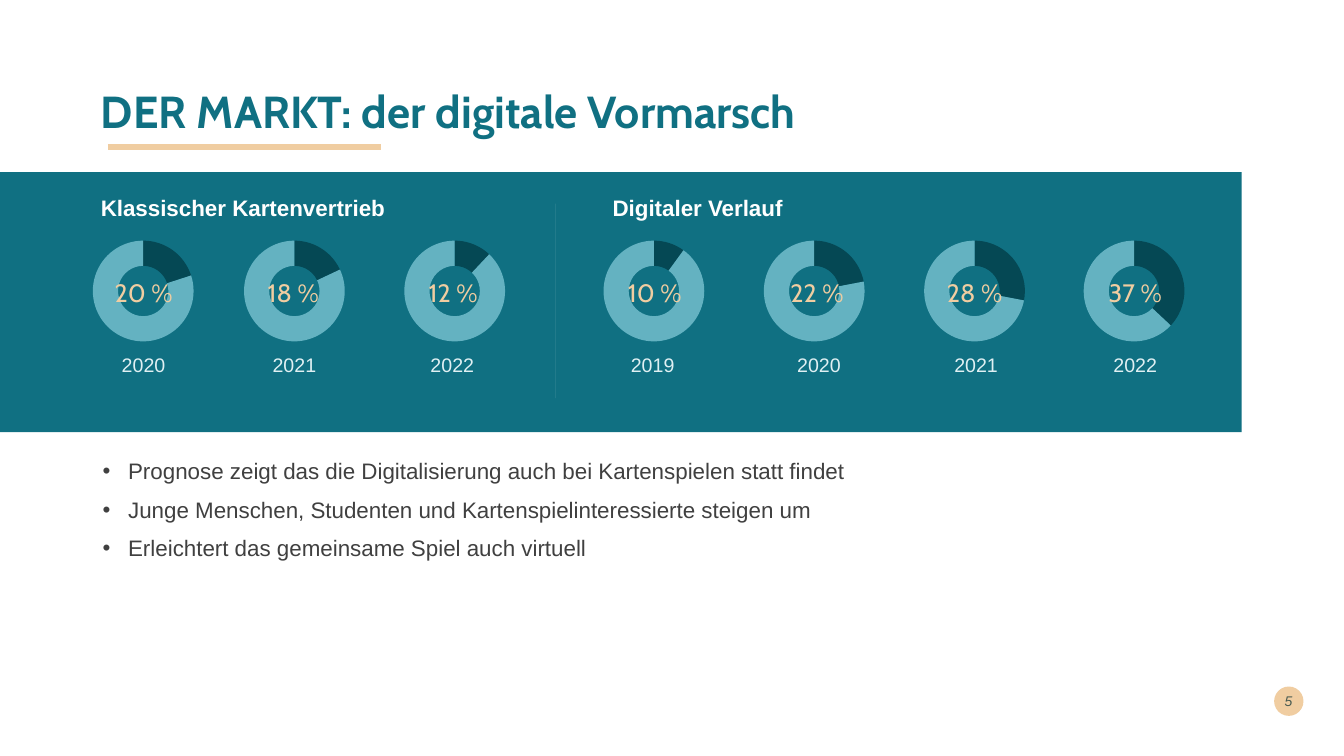
from dataclasses import dataclass

from lxml.etree import SubElement
from pptx import Presentation
from pptx.chart.data import CategoryChartData
from pptx.dml.color import RGBColor
from pptx.enum.chart import XL_CHART_TYPE as ChartType
from pptx.enum.shapes import MSO_CONNECTOR as Connector
from pptx.enum.shapes import MSO_SHAPE as Preset
from pptx.enum.text import MSO_ANCHOR as Anchor
from pptx.enum.text import MSO_AUTO_SIZE as AutoSize
from pptx.enum.text import PP_ALIGN as Align
from pptx.oxml.ns import qn
from pptx.util import Cm, Pt


@dataclass(frozen=True)
class Theme:
    teal: str = "107082"
    dark_teal: str = "054854"
    light_teal: str = "64B2C1"
    pale: str = "E0F0F3"
    sand: str = "F0CDA1"
    white: str = "FFFFFF"
    ink: str = "404040"
    number_ink: str = "00292E"
    black: str = "000000"
    body_font: str = "Arial"
    display_font: str = "Cabin"
    title_size: float = 32
    percent_size: float = 18
    text_size: float = 16
    year_size: float = 14
    small_size: float = 10


@dataclass(frozen=True)
class TextStyle:
    size: float
    color: str
    font: str = "Arial"
    bold: bool = False
    italic: bool = False


@dataclass(frozen=True)
class Box:
    """Left, top, width and height in centimetres."""
    left: float
    top: float
    width: float
    height: float

    def emu(self) -> tuple:
        return Cm(self.left), Cm(self.top), Cm(self.width), Cm(self.height)


@dataclass(frozen=True)
class Share:
    """One ring with its year; the three centres are in centimetres."""
    year: str
    percent: int
    ring_x: float
    percent_x: float
    year_x: float


THEME = Theme()
TITLE_STYLE = TextStyle(THEME.title_size, THEME.teal, THEME.display_font, bold=True)
HEADING_STYLE = TextStyle(THEME.text_size, THEME.white, bold=True)
PERCENT_STYLE = TextStyle(THEME.percent_size, THEME.sand, THEME.display_font)
YEAR_STYLE = TextStyle(THEME.year_size, THEME.pale)
BULLET_STYLE = TextStyle(THEME.text_size, THEME.ink)
NUMBER_STYLE = TextStyle(THEME.small_size, THEME.number_ink, italic=True)

SHARES = [
    Share("2020", 20, 3.61, 3.62, 3.62),
    Share("2021", 18, 7.42, 7.39, 7.42),
    Share("2022", 12, 11.46, 11.42, 11.4),
    Share("2019", 10, 16.48, 16.5, 16.45),
    Share("2020", 22, 20.52, 20.59, 20.64),
    Share("2021", 28, 24.56, 24.56, 24.6),
    Share("2022", 37, 28.58, 28.61, 28.61),
]
HEADINGS = {
    "Klassischer Kartenvertrieb": Box(2.29, 4.85, 10.52, 0.97),
    "Digitaler Verlauf": Box(15.19, 4.85, 14.53, 0.97),
}
BULLETS = [
    "Prognose zeigt das die Digitalisierung auch bei Kartenspielen statt findet",
    "Junge Menschen, Studenten und Kartenspielinteressierte steigen um",
    "Erleichtert das gemeinsame Spiel auch virtuell",
]
CHART_WIDTH, CHART_HEIGHT, RING_DIAMETER = 3.66, 3.23, 2.54
LABEL_WIDTH = 2.6


def rgb(color: str) -> RGBColor:
    return RGBColor.from_string(color)


def set_opacity(shape, percent: int) -> None:
    for color in list(shape.element.iter(qn("a:srgbClr"))):
        SubElement(color, qn("a:alpha"), val=str(percent * 1000))


def add_run(paragraph, text: str, style: TextStyle) -> None:
    run = paragraph.add_run()
    run.text = text
    font = run.font
    font.name, font.size = style.font, Pt(style.size)
    font.bold, font.italic = style.bold, style.italic
    font.color.rgb = rgb(style.color)


def add_text(slide, box: Box, text: str, style: TextStyle, align=Align.LEFT):
    text_box = slide.shapes.add_textbox(*box.emu())
    text_box.text_frame.word_wrap = True
    paragraph = text_box.text_frame.paragraphs[0]
    paragraph.alignment = align
    add_run(paragraph, text, style)
    return text_box


def add_solid(slide, preset: Preset, box: Box, color: str) -> None:
    solid = slide.shapes.add_shape(preset, *box.emu())
    solid.shadow.inherit = False
    solid.fill.solid()
    solid.fill.fore_color.rgb = rgb(color)
    solid.line.fill.background()


def add_line(slide, x1: float, y1: float, x2: float, y2: float, color: str, width: float):
    line = slide.shapes.add_connector(Connector.STRAIGHT, Cm(x1), Cm(y1), Cm(x2), Cm(y2))
    line.line.color.rgb = rgb(color)
    line.line.width = Pt(width)
    SubElement(line.element.find(qn("p:spPr")), qn("a:effectLst"))
    return line


def add_label(slide, center: float, top: float, height: float, text: str, style: TextStyle) -> None:
    """Centred label without side margins."""
    box = Box(center - LABEL_WIDTH / 2, top, LABEL_WIDTH, height)
    frame = add_text(slide, box, text, style, Align.CENTER).text_frame
    frame.margin_left = frame.margin_right = frame.margin_bottom = 0
    frame.margin_top = Cm(0.03)
    frame.paragraphs[0].space_before = Pt(1)


def fix_ring_size(plot_area) -> None:
    """Centre a ring of the set diameter in its chart."""
    for layout in plot_area.findall(qn("c:layout")):
        plot_area.remove(layout)
    layout = SubElement(plot_area, qn("c:layout"))
    plot_area.insert(0, layout)
    manual = SubElement(layout, qn("c:manualLayout"))
    width, height = RING_DIAMETER / CHART_WIDTH, RING_DIAMETER / CHART_HEIGHT
    settings = {"layoutTarget": "inner", "xMode": "edge", "yMode": "edge",
                "x": (1 - width) / 2, "y": (1 - height) / 2, "w": width, "h": height}
    for tag, value in settings.items():
        SubElement(manual, qn(f"c:{tag}"), val=str(value))


def add_ring(slide, share: Share) -> None:
    values = CategoryChartData(number_format="0")
    values.categories = ["1", "2"]
    values.add_series("Series 1", (share.percent, 100 - share.percent))
    box = Box(share.ring_x - CHART_WIDTH / 2, 5.72, CHART_WIDTH, CHART_HEIGHT)
    chart = slide.shapes.add_chart(ChartType.DOUGHNUT, *box.emu(), values).chart
    chart.has_title = chart.has_legend = False
    chart.font.name, chart.font.size = THEME.body_font, Pt(THEME.small_size)
    chart.font.color.rgb = rgb(THEME.black)
    plot = chart.plots[0]
    plot.vary_by_categories = True
    for index, color in enumerate((THEME.dark_teal, THEME.light_teal)):
        part = plot.series[0].points[index].format
        part.fill.solid()
        part.fill.fore_color.rgb = rgb(color)
        part.line.fill.background()
    plot_area = next(chart.element.iter(qn("c:plotArea")))
    next(plot_area.iter(qn("c:holeSize"))).set("val", "67")
    fix_ring_size(plot_area)


def set_title(slide, text: str) -> None:
    title = slide.shapes.title
    title.left, title.top, title.width, title.height = Box(2.29, 1.02, 29.21, 3.68).emu()
    frame = title.text_frame
    frame.vertical_anchor, frame.auto_size = Anchor.MIDDLE, AutoSize.NONE
    paragraph = frame.paragraphs[0]
    paragraph.alignment, paragraph.line_spacing = Align.LEFT, 0.9
    add_run(paragraph, text, TITLE_STYLE)


def add_bullets(slide) -> None:
    frame = slide.shapes.add_textbox(*Box(2.34, 11.48, 28.98, 5.69).emu()).text_frame
    frame.word_wrap = True
    for index, text in enumerate(BULLETS):
        paragraph = frame.add_paragraph() if index else frame.paragraphs[0]
        paragraph.line_spacing, paragraph.space_before = 0.9, Pt(10)
        add_run(paragraph, text, BULLET_STYLE)
    for properties in frame._txBody.iter(qn("a:pPr")):
        properties.set("marL", str(Cm(0.64)))
        properties.set("indent", str(-Cm(0.64)))
        SubElement(properties, qn("a:buFont"), typeface=THEME.body_font)
        SubElement(properties, qn("a:buChar"), char="•")


def main() -> None:
    deck = Presentation()
    deck.slide_width, deck.slide_height = Cm(33.87), Cm(19.05)
    slide = deck.slides.add_slide(deck.slide_layouts[5])
    set_title(slide, "DER MARKT: der digitale Vormarsch")
    add_solid(slide, Preset.OVAL, Box(32.11, 17.3, 0.74, 0.74), THEME.sand)
    add_solid(slide, Preset.RECTANGLE, Box(0, 4.34, 31.29, 6.55), THEME.teal)
    add_line(slide, 2.72, 3.7, 9.6, 3.7, THEME.sand, 4.32)
    set_opacity(add_line(slide, 14, 5.13, 14, 10.03, THEME.pale, 0.25), 25)
    for heading, box in HEADINGS.items():
        paragraph = add_text(slide, box, heading, HEADING_STYLE).text_frame.paragraphs[0]
        paragraph.line_spacing, paragraph.space_before = 0.9, Pt(10)
    for share in SHARES:
        add_ring(slide, share)
        add_label(slide, share.percent_x, 6.96, 0.81, f"{share.percent} %", PERCENT_STYLE)
        add_label(slide, share.year_x, 8.86, 0.64, share.year, YEAR_STYLE)
    add_bullets(slide)
    page_number = add_text(slide, Box(31.83, 17.15, 0.99, 1.02), "5", NUMBER_STYLE, Align.RIGHT)
    page_number.text_frame.vertical_anchor = Anchor.MIDDLE
    set_opacity(page_number, 70)
    deck.save("out.pptx")


if __name__ == "__main__":
    main()
